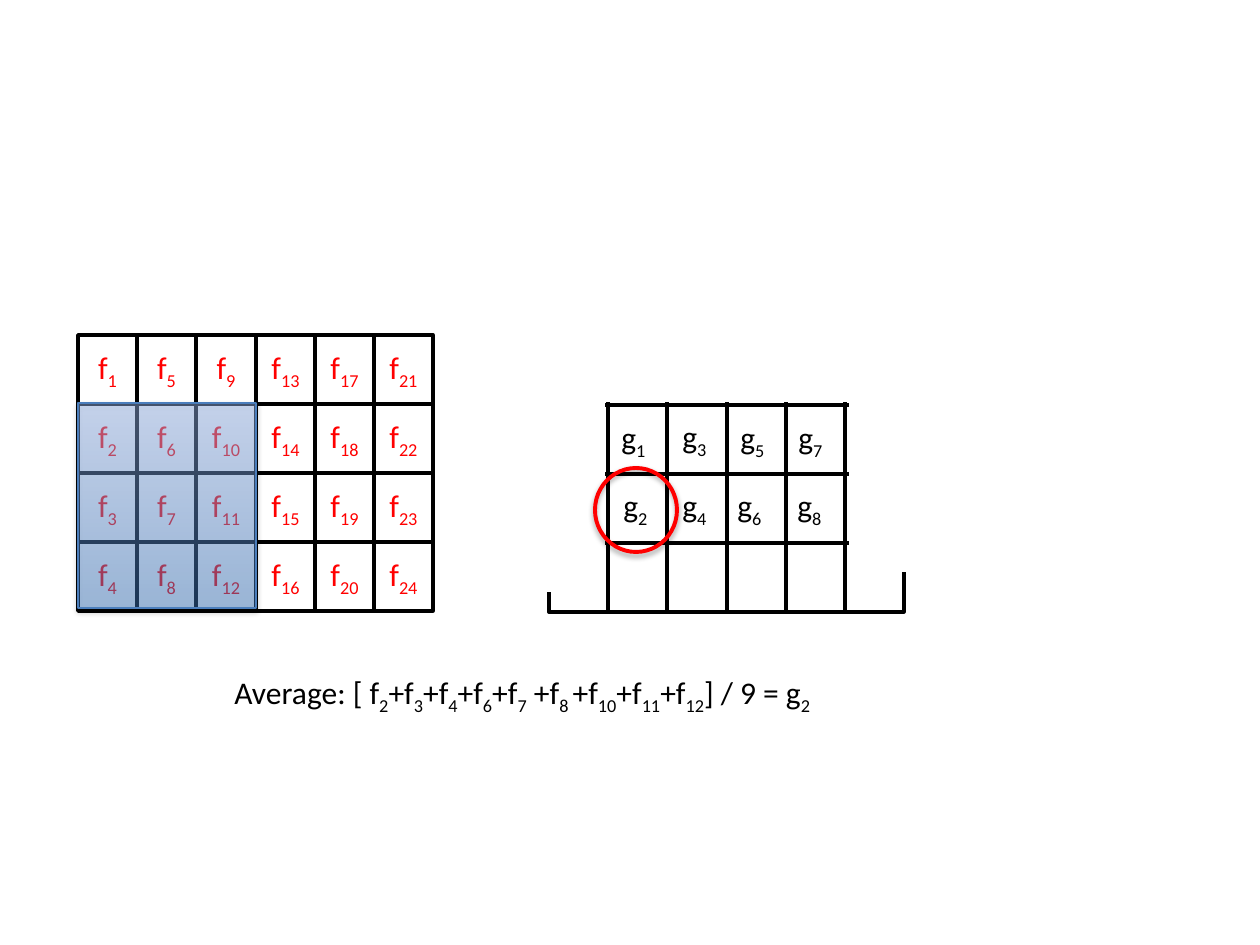
from lxml import etree
from pptx import Presentation
from pptx import util as u
from pptx.dml.color import RGBColor
from pptx.enum import shapes, text
from pptx.oxml.ns import qn

SCALE = 914400 / 126  # EMU in one px
COLORS = {
    "black": "000000",
    "white": "FFFFFF",
    "red": "FF0000",
    "window_line": "4B7EBC",
    "window_bottom": "3F80CE",
    "window_top": "A4C4FF",
}
COLUMNS, ROWS = 6, 4
GRID_WIDTH, GRID_HEIGHT = 355, 276


def px(*lengths):
    return [u.Emu(round(length * SCALE)) for length in lengths]


def rgb(name):
    return RGBColor.from_string(COLORS[name])


def add_box(slide, box, fill=None, line=None, width=2, kind=shapes.MSO_SHAPE.RECTANGLE):
    shape = slide.shapes.add_shape(kind, *px(*box))
    shape.shadow.inherit = False
    if fill:
        shape.fill.solid()
        shape.fill.fore_color.rgb = rgb(fill)
    else:
        shape.fill.background()
    if line:
        shape.line.color.rgb = rgb(line)
        shape.line.width = u.Pt(width)
    else:
        shape.line.fill.background()
    return shape


def write_indexed(paragraph, parts, color):
    """Write parts that alternate between normal text and subscript."""
    for position, part in enumerate(parts):
        run = paragraph.add_run()
        run.text = part
        run.font.size = u.Pt(18)
        run.font.name = "Calibri"
        run.font.color.rgb = rgb(color)
        if position % 2:
            run.font._element.set("baseline", "-25000")


def add_label(slide, box, parts):
    frame = slide.shapes.add_textbox(*px(*box)).text_frame
    frame.word_wrap = False
    frame.auto_size = text.MSO_AUTO_SIZE.SHAPE_TO_FIT_TEXT
    write_indexed(frame.paragraphs[0], parts, "black")


def add_grid(slide, left, top, letter=None):
    """Draw a grid of cells, numbered down each column if a letter is given."""
    x_edges = [left + round(GRID_WIDTH * i / COLUMNS) for i in range(COLUMNS + 1)]
    height = GRID_HEIGHT // ROWS
    for column in range(COLUMNS):
        x = x_edges[column]
        for row in range(ROWS):
            cell = add_box(slide, (x, top + row * height, x_edges[column + 1] - x, height),
                           line="black")
            if letter:
                frame = cell.text_frame
                frame.vertical_anchor = text.MSO_ANCHOR.MIDDLE
                paragraph = frame.paragraphs[0]
                paragraph.alignment = text.PP_ALIGN.CENTER
                write_indexed(paragraph, (letter, str(column * ROWS + row + 1)), "red")


def add_shadow(shape):
    effects = shape._element.spPr.find(qn("a:effectLst"))
    shadow = etree.SubElement(effects, qn("a:outerShdw"), blurRad="40000", dist="23000",
                              dir="5400000", rotWithShape="0")
    color = etree.SubElement(shadow, qn("a:srgbClr"), val=COLORS["black"])
    etree.SubElement(color, qn("a:alpha"), val="35000")


def add_window(slide, box):
    """Lay the translucent averaging window over the input grid."""
    window = add_box(slide, box, line="window_line", width=0.75)
    window.fill.gradient()
    window.fill.gradient_angle = 90
    for stop, name in zip(window.fill.gradient_stops, ("window_bottom", "window_top")):
        stop.color.rgb = rgb(name)
    for color in window._element.spPr.find(qn("a:gradFill")).iter(qn("a:srgbClr")):
        etree.SubElement(color, qn("a:alpha"), val="41000")
    add_shadow(window)


def main():
    presentation = Presentation()
    presentation.slide_width, presentation.slide_height = px(1260, 945)
    slide = presentation.slides.add_slide(presentation.slide_layouts[6])

    # Input and output grids
    add_grid(slide, 78, 335, "f")
    add_grid(slide, 549, 336)

    # Output values, down each column
    places = [(609, 412), (611, 480), (670, 411), (670, 480),
              (728, 412), (725, 480), (786, 412), (785, 480)]
    for number, place in enumerate(places, 1):
        add_label(slide, (*place, 52, 50), ("g", str(number)))

    # White covers over the border cells of the output
    for box in ((529, 183, 401, 219), (849, 353, 83, 219), (522, 373, 83, 219)):
        add_box(slide, box, fill="white")

    # Formula
    add_label(slide, (222, 667, 646, 50),
              ("Average: [ f", "2", "+f", "3", "+f", "4", "+f", "6", "+f", "7", " +f", "8 ",
               "+f", "10", "+f", "11", "+f", "12", "] / 9 = g", "2"))

    # Averaging window and its result
    add_window(slide, (78, 403, 178, 205))
    ring = add_box(slide, (595, 468, 82, 84), line="red", width=2.25,
                   kind=shapes.MSO_SHAPE.OVAL)
    add_shadow(ring)

    presentation.save("out.pptx")


if __name__ == "__main__":
    main()
